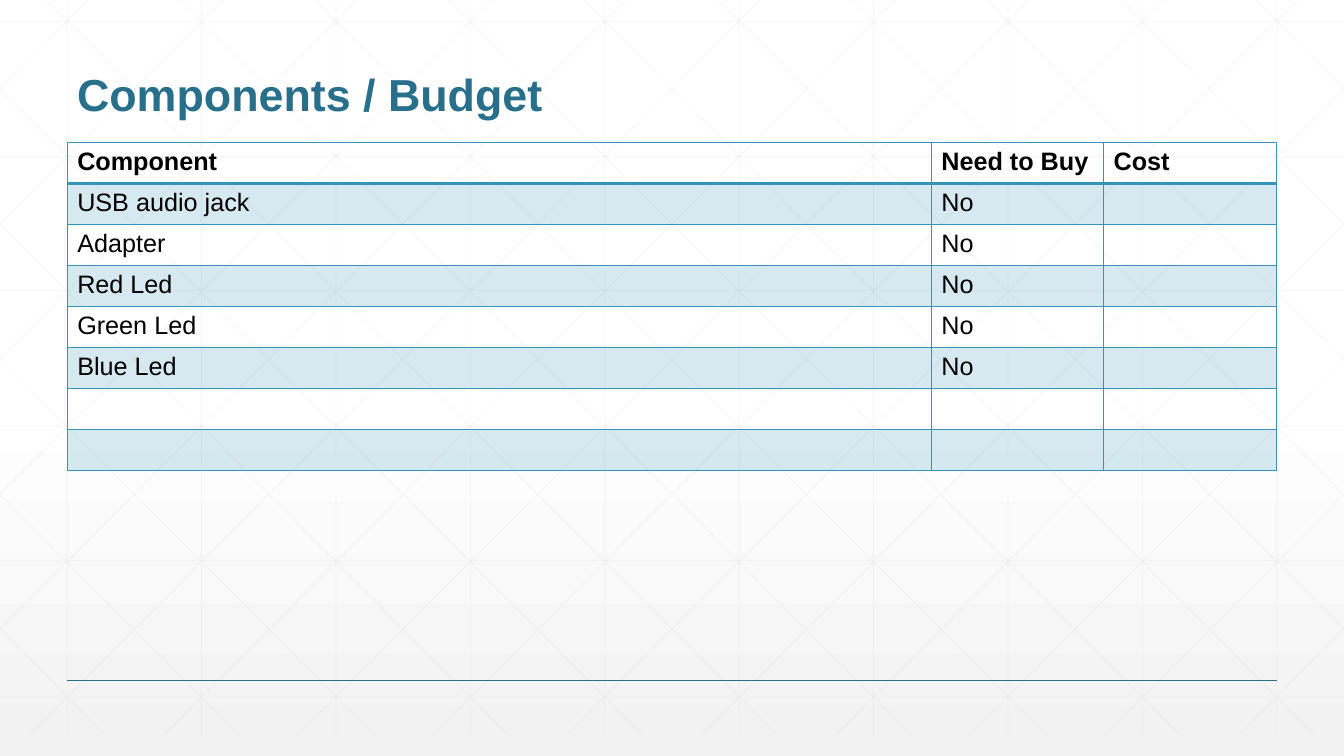
from lxml import etree
from pptx import Presentation
from pptx.dml.color import RGBColor
from pptx.enum.shapes import MSO_CONNECTOR
from pptx.enum.text import MSO_ANCHOR
from pptx.oxml.ns import qn
from pptx.util import Pt

STRAIGHT = MSO_CONNECTOR.STRAIGHT
BOTTOM = MSO_ANCHOR.BOTTOM

PX = 9525
SLIDE_W, SLIDE_H = 1280, 720
MARGIN, CONTENT_W = 64, 1152
GRID_TOP, GRID_BOTTOM, GRID_STEP = -20, 700, 128
DIAGONAL_START, DIAGONAL_RUN = 24, 716

WHITE = RGBColor(0xFF, 0xFF, 0xFF)
BLACK = RGBColor(0x00, 0x00, 0x00)
PALE_GRAY = RGBColor(0xF2, 0xF2, 0xF2)
GRID_GRAY = RGBColor(0xD9, 0xD9, 0xD9)
TEAL = RGBColor(0x27, 0x6F, 0x8B)
BLUE = RGBColor(0x34, 0x94, 0xBA)

FONT = "Arial"
COLUMN_WIDTHS = (823, 164, 165)
ROW_HEIGHT = 39
BUDGET = (
    ("Component", "Need to Buy", "Cost"),
    ("USB audio jack", "No", ""),
    ("Adapter", "No", ""),
    ("Red Led", "No", ""),
    ("Green Led", "No", ""),
    ("Blue Led", "No", ""),
    ("", "", ""),
    ("", "", ""),
)


def px(*lengths):
    return [round(length) * PX for length in lengths]


def add_color(parent, color, opacity=100):
    srgb = etree.SubElement(parent, qn("a:srgbClr"), val=str(color))
    if opacity < 100:
        etree.SubElement(srgb, qn("a:alpha"), val=str(opacity * 1000))


def set_opacity(parent, opacity):
    srgb = next(parent.iter(qn("a:srgbClr")))
    etree.SubElement(srgb, qn("a:alpha"), val=str(opacity * 1000))


def write_text(frame, text, size=18, color=BLACK, bold=False, spacing=None):
    paragraph = frame.paragraphs[0]
    paragraph.line_spacing = spacing
    run = paragraph.add_run()
    run.text = text
    run.font.name = FONT
    run.font.size = Pt(size)
    run.font.bold = bold
    run.font.color.rgb = color


def add_line(shapes, start, end, color, width, opacity=100):
    line = shapes.add_connector(STRAIGHT, *px(*start, *end))
    line.line.color.rgb = color
    line.line.width = Pt(width)
    properties = line._element.spPr
    if opacity < 100:
        set_opacity(properties, opacity)
    etree.SubElement(properties, qn("a:effectLst"))


def paint_background(slide):
    fill = slide.background.fill
    fill.gradient()
    fill.gradient_angle = 270
    stops = next(slide.background._cSld.iter(qn("a:gsLst")))
    for stop in list(stops):
        stops.remove(stop)
    for position, color, opacity in (
        (0, WHITE, 100), (53, WHITE, 100), (100, PALE_GRAY, 65),
    ):
        stop = etree.SubElement(stops, qn("a:gs"), pos=str(position * 1000))
        add_color(stop, color, opacity)


def diagonal(top_x):
    slope = (GRID_BOTTOM - GRID_TOP) / DIAGONAL_RUN
    left = max(top_x, 0)
    right = min(top_x + DIAGONAL_RUN, SLIDE_W)
    return [(x, GRID_TOP + (x - top_x) * slope) for x in (left, right)]


def draw_grid(slide):
    segments = []
    for column in range(10):
        x = MARGIN + column * GRID_STEP
        segments.append([(x, GRID_TOP), (x, GRID_BOTTOM)])
    for row in range(6):
        y = 20 + row * 128.6
        segments.append([(0, y), (SLIDE_W, y)])
    for step in range(-5, 10):
        falling = diagonal(DIAGONAL_START + step * GRID_STEP)
        segments.append(falling)
        segments.append([(SLIDE_W - x, y) for x, y in falling])
    grid = slide.shapes.add_group_shape().shapes
    for start, end in segments:
        add_line(grid, start, end, GRID_GRAY, 0.5, opacity=25)


def add_title(slide, text):
    title = slide.shapes.add_textbox(*px(MARGIN, 24, CONTENT_W, 96))
    frame = title.text_frame
    frame.word_wrap = True
    frame.vertical_anchor = BOTTOM
    write_text(frame, text, size=32, color=TEAL, bold=True, spacing=0.9)


def set_borders(cell, widths):
    properties = cell._tc.get_or_add_tcPr()
    for index, (side, width) in enumerate(widths.items()):
        border = etree.Element(qn(f"a:ln{side}"), w=str(Pt(width)))
        add_color(etree.SubElement(border, qn("a:solidFill")), BLUE)
        properties.insert(index, border)


def fill_cell(cell, shaded):
    if shaded:
        cell.fill.solid()
        cell.fill.fore_color.rgb = BLUE
        set_opacity(cell._tc.tcPr.find(qn("a:solidFill")), 20)
    else:
        cell.fill.background()


def add_budget_table(slide):
    frame = slide.shapes.add_table(
        len(BUDGET), len(COLUMN_WIDTHS),
        *px(MARGIN, 136, CONTENT_W, ROW_HEIGHT * len(BUDGET)),
    )
    table = frame.table
    table.horz_banding = False
    for column, width in zip(table.columns, COLUMN_WIDTHS):
        column.width = width * PX
    for row_index, entries in enumerate(BUDGET):
        table.rows[row_index].height = ROW_HEIGHT * PX
        is_header = row_index == 0
        for column_index, entry in enumerate(entries):
            cell = table.cell(row_index, column_index)
            fill_cell(cell, shaded=row_index % 2 == 1)
            set_borders(cell, {
                "L": 1, "R": 1,
                "T": 2 if row_index == 1 else 1,
                "B": 2 if is_header else 1,
            })
            if entry:
                write_text(cell.text_frame, entry, bold=is_header)


def main():
    deck = Presentation()
    deck.slide_width, deck.slide_height = px(SLIDE_W, SLIDE_H)
    slide = deck.slides.add_slide(deck.slide_layouts[6])
    paint_background(slide)
    draw_grid(slide)
    add_line(slide.shapes, (MARGIN, 648), (MARGIN + CONTENT_W, 648), TEAL, 1)
    add_title(slide, "Components / Budget")
    add_budget_table(slide)
    deck.save("out.pptx")


if __name__ == "__main__":
    main()
